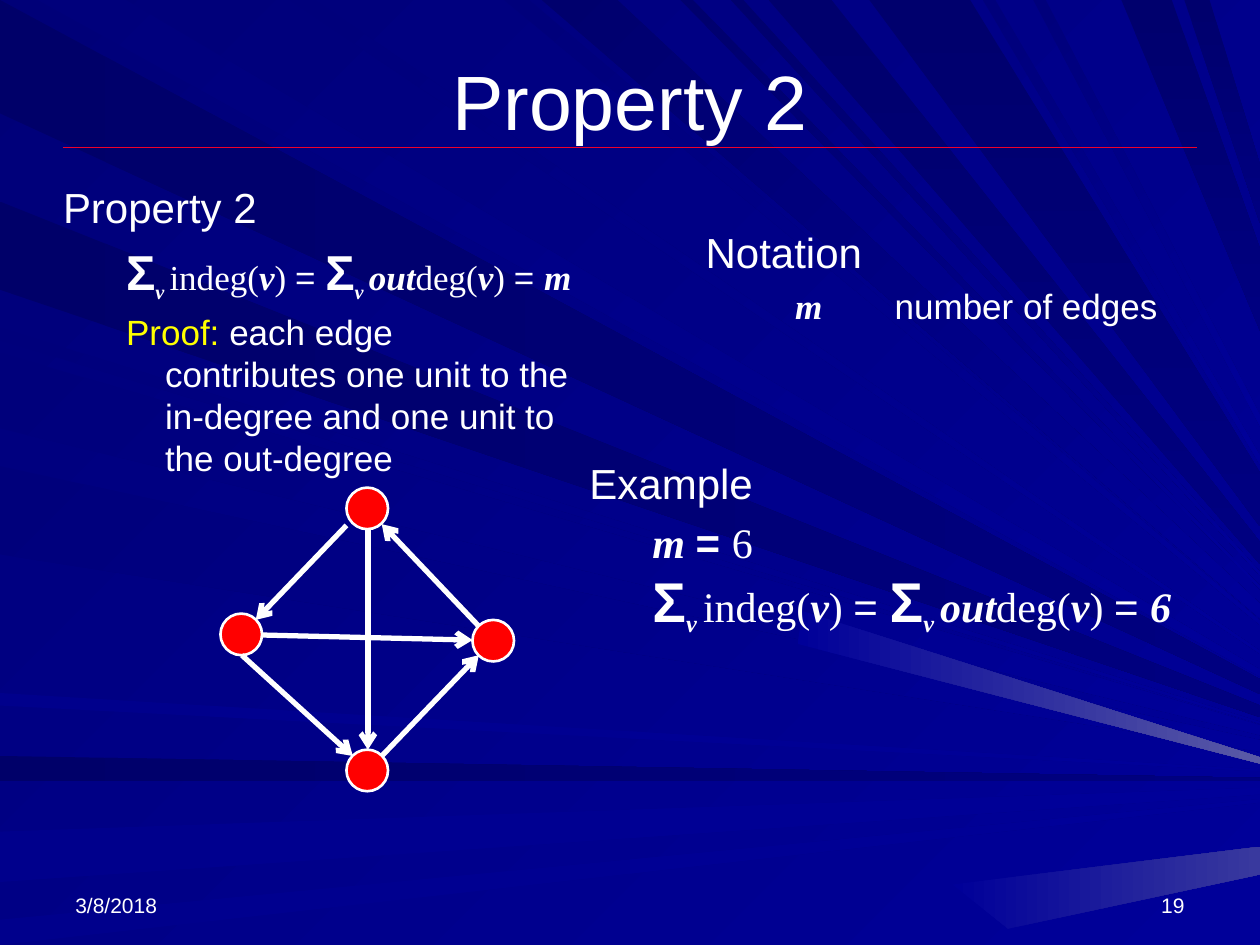
import pptx
import pptx.dml.color
import pptx.enum.shapes
import pptx.enum.text
import pptx.oxml
import pptx.oxml.ns
import pptx.util

Inches = pptx.util.Inches
ALIGN = pptx.enum.text.PP_ALIGN
ANCHOR = pptx.enum.text.MSO_ANCHOR
SANS, SERIF = "Arial", "Times New Roman"
WHITE, RED, YELLOW, RULE_RED = "FFFFFF", "FF0000", "FFFF00", "EF0129"
NODE_SIZE = 0.33
PAGE_WIDTH, PAGE_HEIGHT = 10, 7.5

# Background rays run from the left or top edge towards one point beyond the right edge
FOCUS = (11.5, 6.2)
LEFT_RAYS = [
    ("000069", "000080", 0, [(0, 0.9), (1.6, 2.3), (6, 6.2)]),
    ("00007B", "000099", 45, [(2.6, 2.7), (2.8, 3.4), (3.7, 4.4)]),
    ("00008C", "000099", 0, [(5.5, 5.6), (6.6, 7), (7.3, 7.5)]),
]
TOP_RAYS = [
    ("00007B", "000099", 45, [(0.3, 1), (2.3, 2.5), (4, 4.2), (7.8, 7.9), (8.2, 8.3)]),
    ("00006D", "000099", 45, [(4.3, 4.9), (5.4, 5.5), (5.8, 5.9)]),
    ("00006D", "000080", 90, [(6.1, 6.6), (6.9, 7.7), (8.9, 9.3), (9.4, 9.6)]),
]
# Paler patches where the rays meet the right edge
GLOWS = [
    ("5A5AA6", [(6.37, 4.85), (10, 6.01), (10, 6.06), (6.33, 5.11)]),
    ("39399E", [(7.56, 7.02), (10, 6.72), (10, 6.94), (8, 7.37)]),
]

# Example graph: node corners and directed edges
NODES = [(1.75, 4.87), (2.75, 3.87), (2.75, 5.95), (3.75, 4.92)]
EDGES = [
    ((2.75, 4.17), (2.03, 4.92)), ((1.92, 5.2), (2.8, 6)), ((3.03, 6), (3.8, 5.2)),
    ((3.8, 4.97), (3.03, 4.16)), ((2.08, 5.04), (3.75, 5.08)), ((2.92, 4.2), (2.92, 5.95)),
]


def rgb(value):
    return pptx.dml.color.RGBColor.from_string(value)


def set_fill(fill, start, end=None, angle=0):
    if end is None:
        fill.solid()
        fill.fore_color.rgb = rgb(start)
        return
    fill.gradient()
    fill.gradient_angle = -angle % 360
    for stop, value in zip(fill.gradient_stops, (start, end)):
        stop.color.rgb = rgb(value)


def new_element(tag, **attributes):
    element = pptx.oxml.parse_xml(f"<{tag} {pptx.oxml.ns.nsdecls('a')}/>")
    for name, value in attributes.items():
        element.set(name, value)
    return element


def add_patch(page, start, end, angle, corners):
    points = [(Inches(x), Inches(y)) for x, y in corners]
    builder = page.shapes.build_freeform(*points[0])
    builder.add_line_segments(points[1:], close=True)
    patch = builder.convert_to_shape()
    patch.shadow.inherit = False
    set_fill(patch.fill, start, end, angle)
    patch.line.fill.background()


def right_edge_point(x, y):
    """Follow the line from a point to the focus until it meets the right edge."""
    share = (PAGE_WIDTH - x) / (FOCUS[0] - x)
    return PAGE_WIDTH, y + share * (FOCUS[1] - y)


def add_rays(page, groups, on_top):
    for start, end, angle, spans in groups:
        for near, far in spans:
            first, second = [(value, 0) if on_top else (0, value) for value in (near, far)]
            corners = [first, second, right_edge_point(*second), right_edge_point(*first)]
            add_patch(page, start, end, angle, corners)


def add_line(page, start, end, color, width, arrow=False):
    line = page.shapes.add_connector(
        pptx.enum.shapes.MSO_CONNECTOR.STRAIGHT, *[Inches(value) for value in start + end])
    line.line.color.rgb = rgb(color)
    line.line.width = pptx.util.Pt(width)
    if arrow:
        line.line._get_or_add_ln().append(new_element("a:tailEnd", type="arrow"))
    line._element.spPr.append(new_element("a:effectLst"))


def add_node(page, left, top):
    node = page.shapes.add_shape(
        pptx.enum.shapes.MSO_SHAPE.OVAL, Inches(left), Inches(top), Inches(NODE_SIZE), Inches(NODE_SIZE))
    node.shadow.inherit = False
    set_fill(node.fill, RED)
    node.line.color.rgb = rgb(WHITE)
    node.line.width = pptx.util.Pt(1.5)


def place_box(page, left, top, width, height, box=None, anchor=ANCHOR.TOP):
    """Place a placeholder above the rays, or add a text box, and return its text frame."""
    if box is None:
        box = page.shapes.add_textbox(0, 0, 0, 0)
    page.shapes._spTree.append(box._element)
    box.left, box.top, box.width, box.height = map(Inches, (left, top, width, height))
    frame = box.text_frame
    frame.word_wrap = True
    frame.auto_size = pptx.enum.text.MSO_AUTO_SIZE.NONE
    frame.vertical_anchor = anchor
    return frame


def add_para(frame, margin=0, indent=0, before=0, align=ALIGN.LEFT, level=0):
    para = frame.paragraphs[0]
    if para.runs:
        para = frame.add_paragraph()
    properties = para._p.get_or_add_pPr()
    properties.set("marL", str(Inches(margin)))
    properties.set("indent", str(Inches(indent)))
    properties.append(new_element("a:buNone"))
    para.level = level
    para.alignment = align
    para.space_before = pptx.util.Pt(before)
    return para


def add_span(para, text, size=20, font=SANS, bold=False, italic=False, color=WHITE, subscript=False):
    span = para.add_run()
    span.text = text
    span.font.size = pptx.util.Pt(size)
    span.font.name = font
    span.font.bold = bold
    span.font.italic = italic
    span.font.color.rgb = rgb(color)
    if subscript:
        span.font._element.set("baseline", "-25000")


def add_formula(para, size, total):
    """Write: sum of in-degrees = sum of out-degrees = total."""
    strong = dict(size=size, font=SERIF, bold=True, italic=True)
    for prefix, name in (("", "indeg("), ("out", "deg(")):
        add_span(para, "Σ", size=size + 8, bold=True)
        add_span(para, "v ", subscript=True, **strong)
        if prefix:
            add_span(para, prefix, **strong)
        add_span(para, name, size=size, font=SERIF)
        add_span(para, "v", **strong)
        add_span(para, ") ", size=size, font=SERIF)
        add_span(para, "= ", size=size)
    add_span(para, total, **strong)


def main():
    deck = pptx.Presentation()
    deck.slide_width, deck.slide_height = Inches(PAGE_WIDTH), Inches(PAGE_HEIGHT)
    page = deck.slides.add_slide(deck.slide_layouts[3])
    title, property_body, notation_body = page.placeholders

    # Background and title rule
    set_fill(page.background.fill, "000078", "000099", 45)
    add_rays(page, LEFT_RAYS, on_top=False)
    add_rays(page, TOP_RAYS, on_top=True)
    for color, corners in GLOWS:
        add_patch(page, "000099", color, 0, corners)
    add_line(page, (0.5, 1.17), (9.5, 1.17), RULE_RED, 0.75)

    # Date and page number
    for left, text, align in ((0.5, "3/8/2018", ALIGN.LEFT), (7.17, "19", ALIGN.RIGHT)):
        frame = place_box(page, left, 6.83, 2.33, 0.5, anchor=ANCHOR.BOTTOM)
        add_span(add_para(frame, align=align), text, size=12)

    # Title
    frame = place_box(page, 0.5, 0.3, 9, 0.98, title, ANCHOR.MIDDLE)
    add_span(add_para(frame, align=ALIGN.CENTER), "Property 2", size=44)

    # Notation
    frame = place_box(page, 5.5, 1.75, 4.08, 1.75, notation_body)
    add_span(add_para(frame, 0.12, -0.12), "Notation", size=24)
    para = add_para(frame, 1.5, -0.79, before=4, level=1)
    add_span(para, "m\t", font=SERIF, bold=True, italic=True)
    add_span(para, "number of edges")

    # Property and proof
    frame = place_box(page, 0.4, 1.39, 4.24, 5.42, property_body)
    add_span(add_para(frame, 0.38, -0.38), "Property 2", size=24)
    add_formula(add_para(frame, 0.81, -0.31, before=5.6, level=1), 20, "m")
    para = add_para(frame, 0.81, -0.31, before=4, level=1)
    add_span(para, "Proof:", color=YELLOW)
    add_span(para, " each edge contributes one unit to the in-degree and one unit to the out-degree")

    # Worked example
    frame = place_box(page, 4.58, 3.58, 5.08, 2)
    add_span(add_para(frame, 0.38, -0.38), "Example", size=24)
    para = add_para(frame, 0.81, -0.31, before=4.8, level=1)
    add_span(para, "m ", size=24, font=SERIF, bold=True, italic=True)
    add_span(para, "= ", size=24, bold=True)
    add_span(para, "6", size=24, font=SERIF)
    add_formula(add_para(frame, 0.5, level=1), 24, "6")

    # Directed graph
    for node in NODES:
        add_node(page, *node)
    for start, end in EDGES:
        add_line(page, start, end, WHITE, 3, arrow=True)

    deck.save("out.pptx")


if __name__ == "__main__":
    main()
